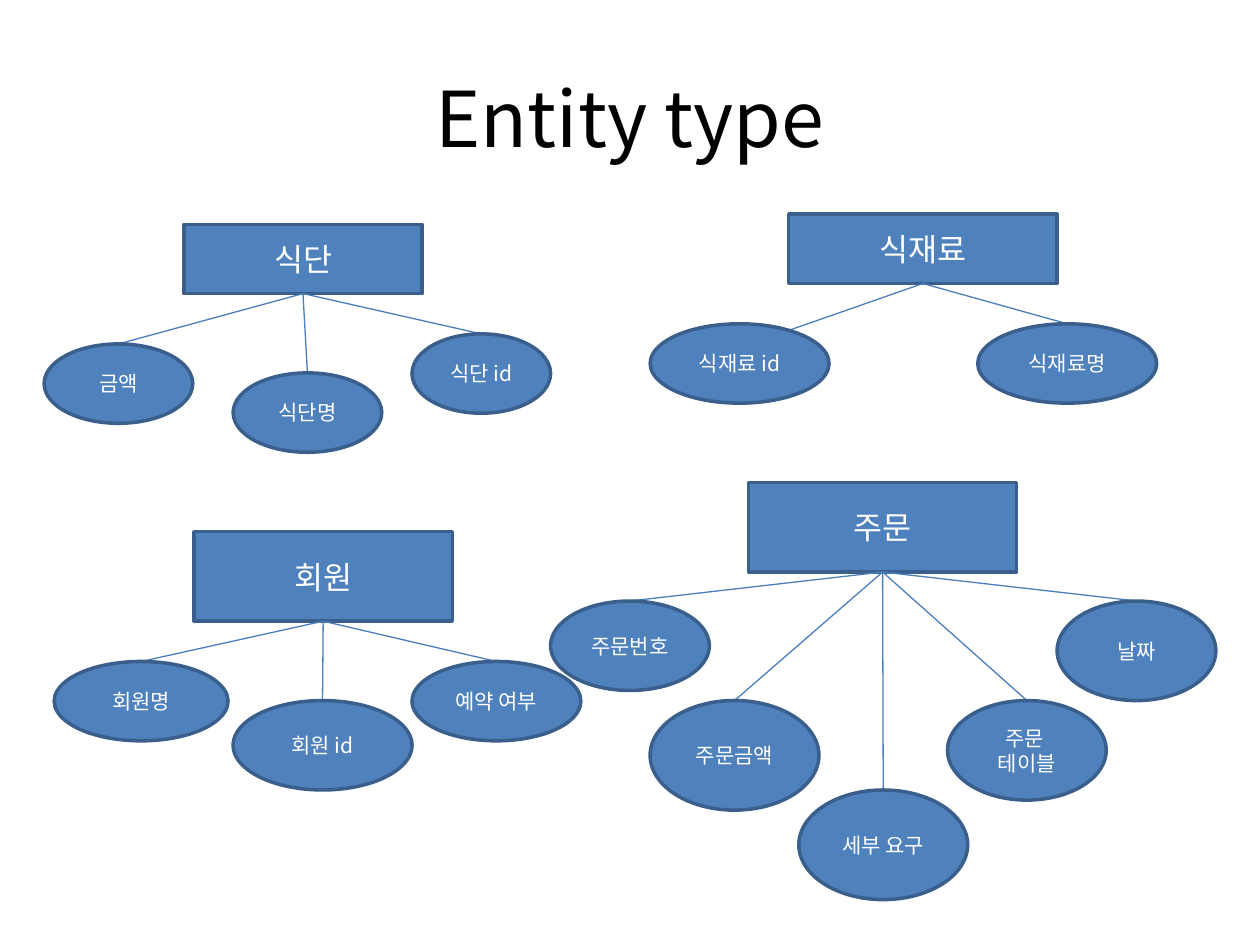
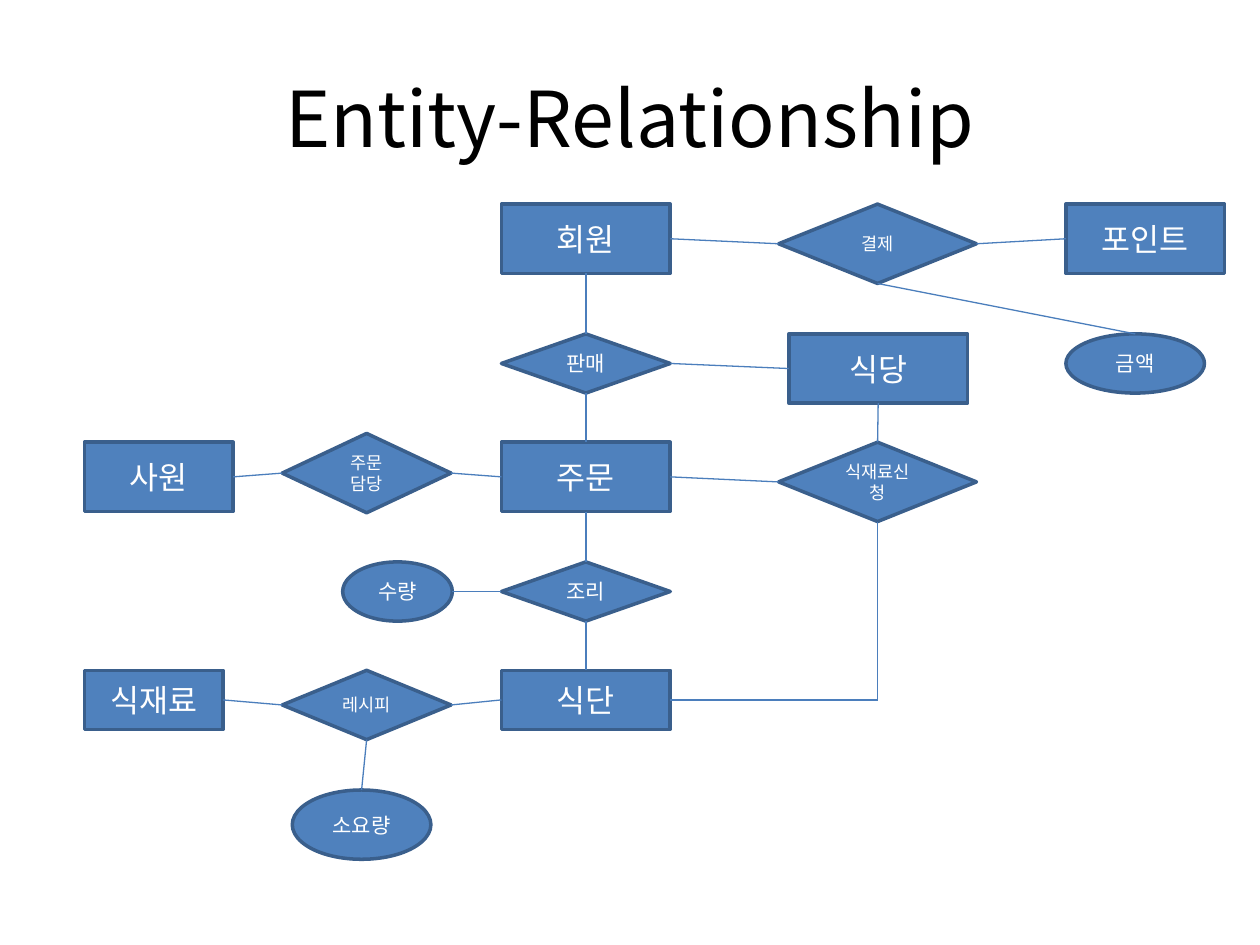
from lxml.etree import SubElement
from pptx import Presentation
from pptx.dml.color import RGBColor
from pptx.enum.shapes import MSO_CONNECTOR, MSO_SHAPE
from pptx.enum.text import MSO_ANCHOR, PP_ALIGN
from pptx.oxml.ns import qn
from pptx.util import Inches, Pt

FONT = "Noto Sans CJK KR"
FILL = RGBColor(0x4F, 0x81, 0xBD)
OUTLINE = RGBColor(0x3A, 0x5F, 0x8C)
LINK = RGBColor(0x4B, 0x7E, 0xBC)
WHITE = RGBColor(0xFF, 0xFF, 0xFF)
BLACK = RGBColor(0, 0, 0)
TITLE_ONLY = 5


def anchor(sp, side):
    """Middle of one side of a shape."""
    dx, dy = {"top": (1, 0), "left": (0, 1), "bottom": (1, 2), "right": (2, 1)}[side]
    return sp.left + sp.width * dx // 2, sp.top + sp.height * dy // 2


class Diagram:
    """Style of the deck and the slide being drawn."""

    def __init__(self, prs):
        self.prs = prs
        self.s = None

    def new_slide(self, title):
        self.s = self.prs.slides.add_slide(self.prs.slide_layouts[TITLE_ONLY])
        sp = self.s.shapes.title
        sp.left, sp.top = Inches(0.5), Inches(0.3)
        sp.width, sp.height = Inches(9), Inches(1.25)
        self.set_text(sp, title, 44, BLACK)

    def set_text(self, sp, text, size, color):
        tf = sp.text_frame
        tf.text = text
        tf.vertical_anchor = MSO_ANCHOR.MIDDLE
        for p in tf.paragraphs:
            p.alignment = PP_ALIGN.CENTER
            for r in p.runs:
                r.font.size = Pt(size)
                r.font.name = FONT
                r.font.color.rgb = color
                SubElement(r._r.get_or_add_rPr(), qn("a:ea"), typeface=FONT)

    def node(self, kind, text, box, size):
        sp = self.s.shapes.add_shape(kind, *map(Inches, box))
        sp.shadow.inherit = False
        sp.fill.solid()
        sp.fill.fore_color.rgb = FILL
        sp.line.color.rgb = OUTLINE
        sp.line.width = Pt(2)
        self.set_text(sp, text, size, WHITE)
        return sp

    def entity(self, text, *box):
        return self.node(MSO_SHAPE.RECTANGLE, text, box, 18)

    def attribute(self, text, *box):
        return self.node(MSO_SHAPE.OVAL, text, box, 12)

    def relation(self, text, *box, size=10):
        return self.node(MSO_SHAPE.FLOWCHART_DECISION, text, box, size)

    def line(self, start, end):
        c = self.s.shapes.add_connector(MSO_CONNECTOR.STRAIGHT, *start, *end)
        c.line.color.rgb = LINK
        c.line.width = Pt(0.75)
        SubElement(c._element.spPr, qn("a:effectLst"))

    def link(self, a, a_side, b, b_side):
        self.line(anchor(a, a_side), anchor(b, b_side))

    def entity_type(self, name, box, attributes):
        """An entity with its attributes hanging from its bottom side."""
        owner = self.entity(name, *box)
        for text, x, y, w, h, *end in attributes:
            end = end or (x + w / 2, y)
            self.line(anchor(owner, "bottom"), tuple(map(Inches, end)))
            self.attribute(text, x, y, w, h)


def entity_types(d):
    d.new_slide("Entity type")
    d.entity_type("식단", (1.46, 1.78, 1.89, 0.55), [
        ("식단명", 1.85, 2.96, 1.18, 0.63),
        ("식단 id", 3.27, 2.65, 1.1, 0.63),
        ("금액", 0.35, 2.73, 1.18, 0.63),
    ])
    # The first link ends inside its ellipse
    d.entity_type("식재료", (6.26, 1.7, 2.13, 0.55), [
        ("식재료 id", 5.16, 2.57, 1.42, 0.63, 6.18, 2.65),
        ("식재료명", 7.76, 2.57, 1.42, 0.63),
    ])
    d.entity_type("회원", (1.54, 4.22, 2.05, 0.71), [
        ("회원명", 0.43, 5.25, 1.38, 0.63),
        ("회원 id", 1.85, 5.56, 1.42, 0.71),
        ("예약 여부", 3.27, 5.25, 1.34, 0.63),
    ])
    d.entity_type("주문", (5.94, 3.83, 2.13, 0.71), [
        ("주문번호", 4.37, 4.77, 1.26, 0.71),
        ("주문금액", 5.16, 5.56, 1.34, 0.87),
        ("날짜", 8.39, 4.77, 1.26, 0.79),
        ("주문 \n테이블", 7.52, 5.56, 1.26, 0.79),
        ("세부 요구", 6.34, 6.27, 1.34, 0.87),
    ])


def entity_relationship(d):
    d.new_slide("Entity-Relationship")

    # Central column
    mid_x, mid_w = 3.98, 1.34
    member = d.entity("회원", mid_x, 1.62, mid_w, 0.55)
    sale = d.relation("판매", mid_x, 2.65, mid_w, 0.47, size=12)
    order = d.entity("주문", mid_x, 3.51, mid_w, 0.55)
    cooking = d.relation("조리", mid_x, 4.46, mid_w, 0.47, size=12)
    menu = d.entity("식단", mid_x, 5.32, mid_w, 0.47)
    column = [member, sale, order, cooking, menu]
    for upper, lower in zip(column, column[1:]):
        d.link(upper, "bottom", lower, "top")

    # Right side
    payment = d.relation("결제", 6.18, 1.62, 1.57, 0.63)
    points = d.entity("포인트", 8.46, 1.62, 1.26, 0.55)
    amount = d.attribute("금액", 8.46, 2.65, 1.1, 0.47)
    diner = d.entity("식당", 6.26, 2.65, 1.42, 0.55)
    request = d.relation("식재료신청", 6.18, 3.51, 1.57, 0.63)

    # Left side
    employee = d.entity("사원", 0.67, 3.51, 1.18, 0.55)
    duty = d.relation("주문\n담당", 2.24, 3.44, 1.34, 0.63)
    quantity = d.attribute("수량", 2.72, 4.46, 0.87, 0.47)
    ingredient = d.entity("식재료", 0.67, 5.32, 1.1, 0.47)
    recipe = d.relation("레시피", 2.24, 5.32, 1.34, 0.55)
    needed = d.attribute("소요량", 2.32, 6.27, 1.1, 0.55)

    # Links
    for left, right in [(member, payment), (payment, points), (sale, diner),
                        (employee, duty), (duty, order), (order, request),
                        (quantity, cooking), (ingredient, recipe), (recipe, menu)]:
        d.link(left, "right", right, "left")
    for upper, lower in [(payment, amount), (diner, request), (recipe, needed)]:
        d.link(upper, "bottom", lower, "top")

    # Corner link from the request down to the menu
    request_end, menu_end = anchor(request, "bottom"), anchor(menu, "right")
    corner = request_end[0], menu_end[1]
    d.line(request_end, corner)
    d.line(menu_end, corner)


def main():
    prs = Presentation()
    prs.slide_width, prs.slide_height = Inches(10), Inches(7.5)
    d = Diagram(prs)
    entity_types(d)
    entity_relationship(d)
    prs.save("out.pptx")


if __name__ == "__main__":
    main()
